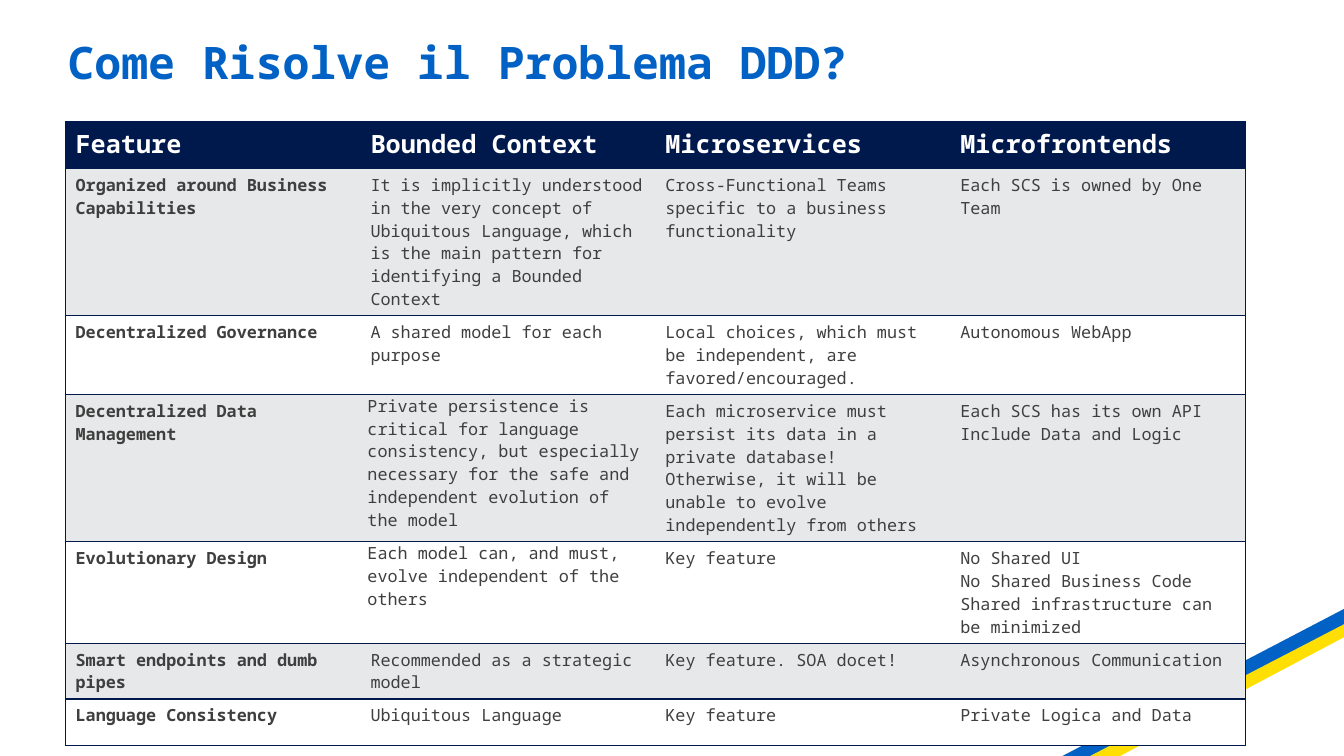
from lxml.etree import SubElement
from pptx import Presentation
from pptx.dml.color import RGBColor
from pptx.enum.shapes import MSO_SHAPE
from pptx.enum.text import MSO_ANCHOR, MSO_AUTO_SIZE, PP_ALIGN
from pptx.oxml.ns import qn
from pptx.util import Inches, Pt

COLORS = {
    "blue": "0261C4",
    "yellow": "FFDF02",
    "white": "FFFFFF",
    "navy": "00194C",
    "band": "E7E8E9",
    "text": "3F3F3F",
}

FEATURES = [
    ["Feature", "Bounded Context", "Microservices", "Microfrontends"],
    [
        "Organized around Business Capabilities",
        "It is implicitly understood in the very concept of Ubiquitous Language, "
        "which is the main pattern for identifying a Bounded Context",
        "Cross-Functional Teams specific to a business functionality",
        "Each SCS is owned by One Team",
    ],
    [
        "Decentralized Governance",
        "A shared model for each purpose",
        "Local choices, which must be independent, are favored/encouraged.",
        "Autonomous WebApp",
    ],
    [
        "Decentralized Data Management",
        "Private persistence is critical for language consistency, but especially "
        "necessary for the safe and independent evolution of the model",
        "Each microservice must persist its data in a private database! "
        "Otherwise, it will be unable to evolve independently from others",
        "Each SCS has its own API \vInclude Data and Logic",
    ],
    [
        "Evolutionary Design",
        "Each model can, and must, evolve independent of the others",
        "Key feature",
        "No Shared UI\vNo Shared Business Code\nShared infrastructure can be minimized",
    ],
    [
        "Smart endpoints and dumb pipes",
        "Recommended as a strategic model",
        "Key feature. SOA docet!",
        "Asynchronous Communication",
    ],
    ["Language Consistency", "Ubiquitous Language", "Key feature", "Private Logica and Data"],
]
ROW_HEIGHTS = [0.46, 1.01, 0.56, 1.01, 0.79, 0.46, 0.46]
TIGHT_CELLS = {(3, 1), (4, 1)}


class SlideBuilder:
    font_name = "Noto Sans Mono"

    def __init__(self, slide):
        self.slide = slide

    def color(self, name):
        return RGBColor.from_string(COLORS[name])

    def format_text(self, paragraph, size, color, bold):
        paragraph.font.name = self.font_name
        paragraph.font.size = Pt(size)
        paragraph.font.bold = bold
        paragraph.font.color.rgb = self.color(color)

    def title(self, wording, left, top, width, height):
        heading = self.slide.shapes.title
        heading.left, heading.top = Inches(left), Inches(top)
        heading.width, heading.height = Inches(width), Inches(height)
        frame = heading.text_frame
        frame.text = wording
        frame.auto_size = MSO_AUTO_SIZE.NONE
        frame.vertical_anchor = MSO_ANCHOR.MIDDLE
        paragraph = frame.paragraphs[0]
        paragraph.alignment = PP_ALIGN.LEFT
        paragraph.line_spacing = 0.9
        self.format_text(paragraph, 32, "blue", True)

    def corner_stripe(self, left, top, width, height, color):
        stripe = self.slide.shapes.add_shape(
            MSO_SHAPE.RIGHT_TRIANGLE, Inches(left), Inches(top), Inches(width), Inches(height)
        )
        stripe.rotation = 270
        stripe.shadow.inherit = False
        stripe.fill.solid()
        stripe.fill.fore_color.rgb = self.color(color)
        stripe.line.fill.background()

    def border(self, cell, side, visible):
        properties = cell._tc.get_or_add_tcPr()
        line = SubElement(properties, qn(f"a:ln{side}"), w=str(Pt(1)))
        if visible:
            fill = SubElement(line, qn("a:solidFill"))
            SubElement(fill, qn("a:srgbClr"), val=COLORS["navy"])
        else:
            SubElement(line, qn("a:noFill"))

    def cell(self, cell, wording, row, column, last_column):
        header = row == 0
        cell.text = wording
        for paragraph in cell.text_frame.paragraphs:
            self.format_text(
                paragraph,
                18 if header else 12,
                "white" if header else "text",
                header or column == 0,
            )
        if (row, column) in TIGHT_CELLS:
            cell.margin_left = cell.margin_right = Inches(0.07)
            cell.margin_top = cell.margin_bottom = 0
        visible_sides = {"L": column == 0, "R": column == last_column, "T": True, "B": True}
        for side, visible in visible_sides.items():
            self.border(cell, side, visible)
        cell.fill.solid()
        band = "band" if row % 2 else "white"
        cell.fill.fore_color.rgb = self.color("navy" if header else band)

    def table(self, rows, row_heights, left, top, width):
        column_count = len(rows[0])
        comparison = self.slide.shapes.add_table(
            len(rows), column_count, Inches(left), Inches(top),
            Inches(width), Inches(sum(row_heights)),
        ).table
        comparison.horz_banding = False
        for column in comparison.columns:
            column.width = Inches(width / column_count)
        for row, (wordings, height) in enumerate(zip(rows, row_heights)):
            comparison.rows[row].height = Inches(height)
            for column, wording in enumerate(wordings):
                self.cell(comparison.cell(row, column), wording, row, column, column_count - 1)


def main():
    deck = Presentation()
    deck.slide_width, deck.slide_height = Inches(13.33), Inches(7.5)
    builder = SlideBuilder(deck.slides.add_slide(deck.slide_layouts[5]))
    builder.corner_stripe(11.15, 5.34, 1.51, 2.89, "blue")
    builder.corner_stripe(11.37, 5.56, 1.35, 2.6, "yellow")
    builder.corner_stripe(11.6, 5.78, 1.21, 2.28, "white")
    builder.title("Come Risolve il Problema DDD?", 0.57, 0.19, 12.36, 0.91)
    builder.table(FEATURES, ROW_HEIGHTS, 0.65, 1.21, 11.7)
    deck.save("out.pptx")


if __name__ == "__main__":
    main()
